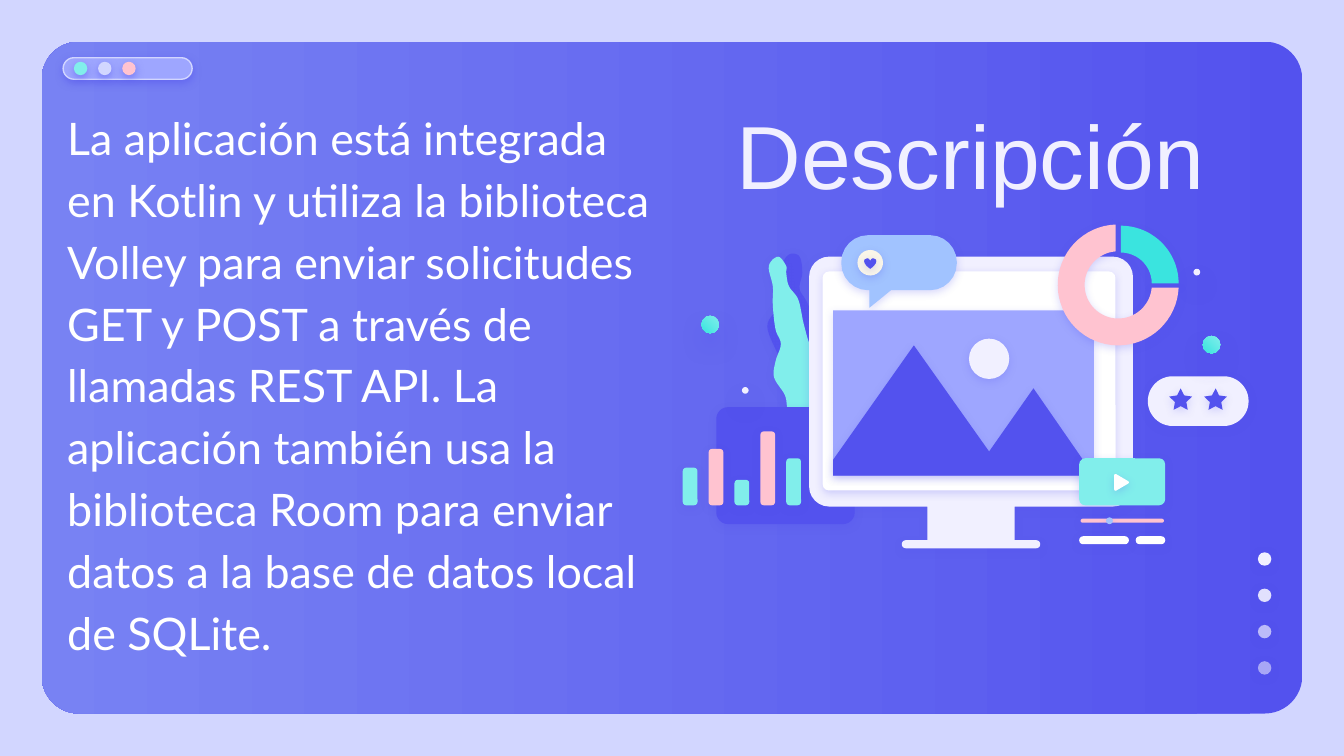
from math import asin, cos, hypot, pi, radians, sin

from lxml.etree import SubElement
from pptx import Presentation
from pptx.dml.color import RGBColor
from pptx.enum.shapes import MSO_SHAPE as SHAPE
from pptx.enum.text import MSO_ANCHOR as ANCHOR, MSO_AUTO_SIZE as FIT, PP_ALIGN as ALIGN
from pptx.oxml.ns import qn
from pptx.util import Inches, Pt

TITLE = "Descripción"
DESCRIPTION = (
    "La aplicación está integrada en Kotlin y utiliza la biblioteca Volley para enviar "
    "solicitudes GET y POST a través de llamadas REST API. La aplicación también usa la "
    "biblioteca Room para enviar datos a la base de datos local de SQLite."
)

INDIGO, VIOLET, LAVENDER, PALE = "5352EE", "7882F3", "9EA6FF", "D2D6FF"
AQUA, TEAL, PINK, SKY = "81EEEB", "3AE4DF", "FFC3D0", "A1C3FF"
MIST, CREAM, WHITE = "F1F0FF", "FAF6E8", "FFFFFF"

# Shadows: opacity %, blur pt, distance pt
CHROME, LEAF, ART, FLOAT = (50, 4.5, 1.5), (18, 4.5, 1.5), (22, 4.5, 1.5), (38, 12.4, 6.8)

BACK_LEAF = [
    (5.88, 1.89), (5.95, 1.91), (5.97, 2.03), (5.95, 2.15), (6.01, 2.26), (6.07, 2.45),
    (6.04, 2.53), (6.1, 2.67), (6.15, 2.77), (6.12, 2.91), (6.08, 3.03), (6.05, 3.13),
    (5.98, 3.14), (5.87, 3.05), (5.87, 2.92), (5.87, 2.82), (5.79, 2.64), (5.71, 2.43),
    (5.78, 2.3), (5.85, 2.15), (5.84, 2.05), (5.83, 1.95),
]
FRONT_LEAF = [
    (5.79, 1.91), (5.85, 1.98), (5.85, 2.03), (5.87, 2.13), (5.94, 2.23), (5.98, 2.41),
    (6.03, 2.58), (6.11, 2.75), (6.08, 2.83), (6.05, 2.96), (6.08, 3.03), (6.09, 3.13),
    (6.03, 3.2), (5.9, 3.17), (5.86, 3.05), (5.84, 2.94), (5.76, 2.81), (5.77, 2.69),
    (5.81, 2.56), (5.77, 2.45), (5.75, 2.27), (5.75, 2.13), (5.72, 1.98),
]
# Corners: x, y, radius
MONITOR = [
    (6.02, 1.91, 0.15), (8.43, 1.91, 0.15), (8.43, 3.77, 0.15), (7.55, 3.77, 0),
    (7.55, 4.02, 0), (7.74, 4.02, 0.03), (7.74, 4.08, 0.03), (6.71, 4.08, 0.03),
    (6.71, 4.02, 0.03), (6.9, 4.02, 0), (6.9, 3.77, 0), (6.02, 3.77, 0.15),
]
BUBBLE = [
    (6.26, 1.75, 0.2), (7.12, 1.75, 0.2), (7.12, 2.16, 0.2), (6.63, 2.16, 0),
    (6.47, 2.29, 0), (6.47, 2.16, 0), (6.26, 2.16, 0.2),
]
PLAY = [(8.29, 3.52, 0.02), (8.41, 3.59, 0.02), (8.29, 3.66, 0.02)]
MOUNTAINS = [(6.8, 2.57), (7.36, 3.36), (7.69, 2.89), (8.14, 3.54), (6.2, 3.54), (6.2, 3.42)]
BARS = [(0.28, AQUA), (0.42, PINK), (0.19, AQUA), (0.55, PINK), (0.35, AQUA)]
FIRST_BAR, LAST_BAR, BAR_BASE, BAR_WIDTH = 5.08, 5.85, 3.76, 0.11
WINDOW_DOTS = [AQUA, PALE, PINK]
PAGE_DOT_OPACITY = [100, 90, 67, 54]
BIG_FLOATERS = [(8.95, 2.5), (5.22, 2.35)]
SMALL_FLOATERS = [(8.88, 2), (5.52, 2.88)]


def rgb(color):
    return RGBColor.from_string(color)


def cubic(start, c1, c2, end, steps=6):
    """Points along a cubic curve, without its last one."""
    curve = []
    for i in range(steps):
        t = i / steps
        weights = ((1 - t) ** 3, 3 * t * (1 - t) ** 2, 3 * t * t * (1 - t), t ** 3)
        curve.append(tuple(sum(w * p[axis] for w, p in zip(weights, (start, c1, c2, end)))
                           for axis in (0, 1)))
    return curve


def smooth_outline(knots):
    """Closed smooth curve through all knots."""
    outline, count = [], len(knots)
    for i in range(count):
        before, a, b, after = (knots[(i + k) % count] for k in (-1, 0, 1, 2))
        c1 = [a[k] + (b[k] - before[k]) / 6 for k in (0, 1)]
        c2 = [b[k] - (after[k] - a[k]) / 6 for k in (0, 1)]
        outline += cubic(a, c1, c2, b)
    return outline


def rounded_outline(corners):
    outline = []
    for i, (x, y, radius) in enumerate(corners):
        def toward(other, distance):
            dx, dy = other[0] - x, other[1] - y
            share = distance / hypot(dx, dy)
            return x + dx * share, y + dy * share

        if not radius:
            outline.append((x, y))
            continue
        before, after = corners[i - 1], corners[(i + 1) % len(corners)]
        end = toward(after, radius)
        outline += cubic(toward(before, radius), toward(before, radius * 0.45),
                         toward(after, radius * 0.45), end) + [end]
    return outline


def ring_outline(cx, cy, outer, inner, first, last, inset=0, steps=48):
    """Ring sector whose straight ends are moved inwards by inset."""
    def arc(radius):
        trim = asin(inset / radius)
        start, sweep = radians(first) + trim, radians(last - first) - 2 * trim
        angles = [start + sweep * i / steps for i in range(steps + 1)]
        return [(cx + radius * cos(a), cy + radius * sin(a)) for a in angles]

    return arc(outer) + arc(inner)[::-1]


def paint(shape, color, shadow, opacity=100, border=None):
    """Fill with one colour, or with a gradient for (start, end, angle)."""
    if isinstance(color, tuple):
        shape.fill.gradient()
        shape.fill.gradient_angle = color[2]
        for stop, shade, position in zip(shape.fill.gradient_stops, color, (0, 1)):
            stop.color.rgb, stop.position = rgb(shade), position
    else:
        shape.fill.solid()
        shape.fill.fore_color.rgb = rgb(color)
        if opacity < 100:
            solid = shape.element.spPr.find(qn("a:solidFill"))
            SubElement(solid[0], qn("a:alpha"), val=str(opacity * 1000))
    if border:
        shape.line.color.rgb, shape.line.width = rgb(border), Pt(0.75)
    else:
        shape.line.fill.background()
    shape.shadow.inherit = False
    if shadow:
        strength, blur, distance = shadow
        effects = shape.element.spPr.find(qn("a:effectLst"))
        outer = SubElement(effects, qn("a:outerShdw"), blurRad=str(Pt(blur)),
                           dist=str(Pt(distance)), dir="5400000", algn="bl", rotWithShape="0")
        shade = SubElement(outer, qn("a:srgbClr"), val=INDIGO)
        SubElement(shade, qn("a:alpha"), val=str(strength * 1000))


def preset(kind, color, box, shadow=ART, adjust=None, **look):
    shape = slide.shapes.add_shape(kind, *map(Inches, box))
    if adjust is not None:
        shape.adjustments[0] = adjust
    paint(shape, color, shadow, **look)


def outline(points, color, shadow=ART):
    first, *rest = [(Inches(x), Inches(y)) for x, y in points]
    builder = slide.shapes.build_freeform(*first)
    builder.add_line_segments(rest, close=True)
    paint(builder.convert_to_shape(), color, shadow)


def write(holder, words, box, font, size, color, align, anchor, margin):
    """Fill a placeholder and bring it in front of what is drawn so far."""
    holder.left, holder.top, holder.width, holder.height = map(Inches, box)
    frame = holder.text_frame
    frame.word_wrap, frame.auto_size, frame.vertical_anchor = True, FIT.NONE, anchor
    frame.margin_left = frame.margin_right = Inches(0.1)
    frame.margin_top = frame.margin_bottom = Inches(margin)
    paragraph = frame.paragraphs[0]
    paragraph.alignment, paragraph.space_before = align, Pt(0)
    run = paragraph.add_run()
    run.text = words
    run.font.name, run.font.size, run.font.color.rgb = font, Pt(size), rgb(color)
    holder.element.getparent().append(holder.element)
    return paragraph


deck = Presentation()
deck.slide_width, deck.slide_height = Inches(10), Inches(10 * 9 / 16)
slide = deck.slides.add_slide(deck.slide_layouts[0])
slide.background.fill.solid()
slide.background.fill.fore_color.rgb = rgb(PALE)
title, body = slide.placeholders

# Window frame
preset(SHAPE.ROUNDED_RECTANGLE, (INDIGO, VIOLET, 180), (0.31, 0.31, 9.38, 5), None, 0.056)
preset(SHAPE.ROUNDED_RECTANGLE, LAVENDER, (0.47, 0.43, 0.96, 0.16), CHROME, 0.5, border=PALE)
for i, color in enumerate(WINDOW_DOTS):
    preset(SHAPE.OVAL, color, (0.55 + 0.18 * i, 0.46, 0.1, 0.1), CHROME)
for i, opacity in enumerate(PAGE_DOT_OPACITY):
    preset(SHAPE.OVAL, MIST, (9.36, 4.11 + 0.27 * i, 0.1, 0.1), CHROME, opacity=opacity)

description = write(body, DESCRIPTION, (0.25, 0.4, 4.75, 4.87), "Lato", 24, WHITE,
                    ALIGN.LEFT, ANCHOR.MIDDLE, 0.1)
description.line_spacing = 1.15
description._p.get_or_add_pPr().set("marL", str(Inches(0.15)))

# Plant and bar ornament
outline(smooth_outline(BACK_LEAF), INDIGO, LEAF)
outline(smooth_outline(FRONT_LEAF), AQUA, LEAF)
preset(SHAPE.ROUNDED_RECTANGLE, INDIGO, (5.33, 3.03, 1.03, 0.87), adjust=0.1)
bar_step = (LAST_BAR - FIRST_BAR) / (len(BARS) - 1)
for i, (height, color) in enumerate(BARS):
    bar = (FIRST_BAR + bar_step * i, BAR_BASE - height, BAR_WIDTH, height)
    preset(SHAPE.ROUNDED_RECTANGLE, color, bar, adjust=0.23)

# Monitor and what surrounds it
outline(rounded_outline(MONITOR), MIST)
preset(SHAPE.ROUNDED_RECTANGLE, WHITE, (6.12, 2.02, 2.18, 1.63), adjust=0.03)
outline(ring_outline(8.34, 2.11, 0.43, 0.23, 270, 360), TEAL)
preset(SHAPE.ROUNDED_RECTANGLE, MIST, (8.54, 2.8, 0.75, 0.37), adjust=0.5)
for left in (8.7, 8.96):
    preset(SHAPE.STAR_5_POINT, INDIGO, (left, 2.89, 0.17, 0.16), adjust=0.25)
for left, width in ((8.03, 0.37), (8.45, 0.22)):
    preset(SHAPE.ROUNDED_RECTANGLE, WHITE, (left, 3.99, width, 0.06), adjust=0.5)
outline(rounded_outline(BUBBLE), SKY)
preset(SHAPE.OVAL, CREAM, (6.38, 1.86, 0.19, 0.19))
preset(SHAPE.HEART, INDIGO, (6.43, 1.92, 0.09, 0.08))
preset(SHAPE.ROUNDED_RECTANGLE, PINK, (8.04, 3.86, 0.62, 0.03), adjust=0.5)
preset(SHAPE.OVAL, SKY, (8.23, 3.85, 0.05, 0.05))
preset(SHAPE.RECTANGLE, LAVENDER, (6.2, 2.31, 1.94, 1.23), LEAF)
outline(MOUNTAINS, INDIGO, LEAF)
preset(SHAPE.OVAL, MIST, (7.21, 2.52, 0.3, 0.3), LEAF)
preset(SHAPE.ROUNDED_RECTANGLE, AQUA, (8.03, 3.41, 0.64, 0.35), adjust=0.13)
outline(rounded_outline(PLAY), WHITE)
outline(ring_outline(8.32, 2.12, 0.45, 0.25, 0, 270, inset=0.02), PINK)
for spot in BIG_FLOATERS:
    preset(SHAPE.OVAL, (AQUA, TEAL, 225), (*spot, 0.13, 0.13), FLOAT)
for spot in SMALL_FLOATERS:
    preset(SHAPE.OVAL, MIST, (*spot, 0.05, 0.05), FLOAT)

write(title, TITLE, (4.3, 0.69, 5.84, 1.21), "Arial", 48, MIST, ALIGN.CENTER, ANCHOR.TOP, 0.05)

deck.save("out.pptx")
